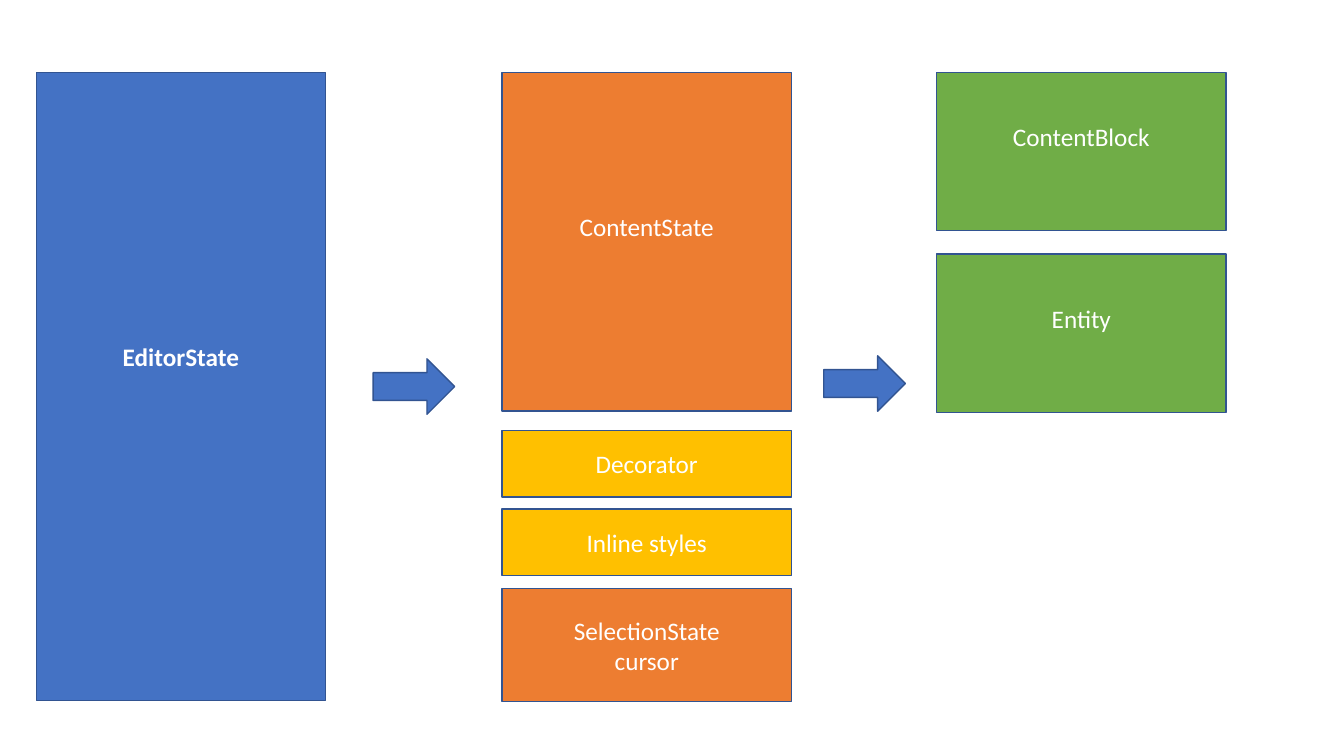
from pptx import Presentation
from pptx.dml.color import RGBColor
from pptx.enum.shapes import MSO_SHAPE
from pptx.enum.text import MSO_ANCHOR, PP_ALIGN
from pptx.util import Pt

PX = 9144  # 100 px to the inch
COLORS = {
    "blue": "4472C4",
    "orange": "ED7D31",
    "gold": "FFC000",
    "green": "70AD47",
    "outline": "325491",
    "white": "FFFFFF",
}
BOX_W = 287
EDITOR_X, STATE_X, CONTENT_X = 36, 498, 929
TOP = 72
INSET = 5
LINE_H = 30


def add_block(kind, x, y, w, h, fill):
    sp = s.shapes.add_shape(kind, x * PX, y * PX, w * PX, h * PX)
    sp.shadow.inherit = False
    sp.fill.solid()
    sp.fill.fore_color.rgb = RGBColor.from_string(COLORS[fill])
    sp.line.color.rgb = RGBColor.from_string(COLORS["outline"])
    sp.line.width = Pt(1)
    return sp


def write(sp, text, size=18, bold=False, color="white", raised=0):
    """Centre the lines of text, raised by a bottom inset of that many lines."""
    tf = sp.text_frame
    tf.word_wrap = True
    tf.vertical_anchor = MSO_ANCHOR.MIDDLE
    tf.margin_bottom = (INSET + raised * LINE_H) * PX
    for i, line in enumerate(text.split("\n")):
        p = tf.paragraphs[0] if i == 0 else tf.add_paragraph()
        p.alignment = PP_ALIGN.CENTER
        r = p.add_run()
        r.text = line
        r.font.name = "Calibri"
        r.font.size = Pt(size)
        r.font.bold = bold
        r.font.color.rgb = RGBColor.from_string(COLORS[color])


prs = Presentation()
prs.slide_width = 1333 * PX
prs.slide_height = 750 * PX
s = prs.slides.add_slide(prs.slide_layouts[6])

# text, x, y, height, fill, bold, lines raised
boxes = [
    ("ContentState", STATE_X, TOP, 336, "orange", False, 1),
    ("SelectionState\ncursor", STATE_X, 584, 112, "orange", False, 0),
    ("EditorState", EDITOR_X, TOP, 623, "blue", True, 2),
    ("ContentBlock", CONTENT_X, TOP, 157, "green", False, 1),
    ("Entity", CONTENT_X, 252, 157, "green", False, 1),
    ("Decorator", STATE_X, 427, 66, "gold", False, 0),
    ("Inline styles", STATE_X, 505, 66, "gold", False, 0),
]
for text, x, y, h, fill, bold, raised in boxes:
    sp = add_block(MSO_SHAPE.RECTANGLE, x, y, BOX_W, h, fill)
    write(sp, text, bold=bold, raised=raised)

for x, y in [(370, 356), (817, 353)]:
    add_block(MSO_SHAPE.RIGHT_ARROW, x, y, 81, 55, "blue")

prs.save("out.pptx")
